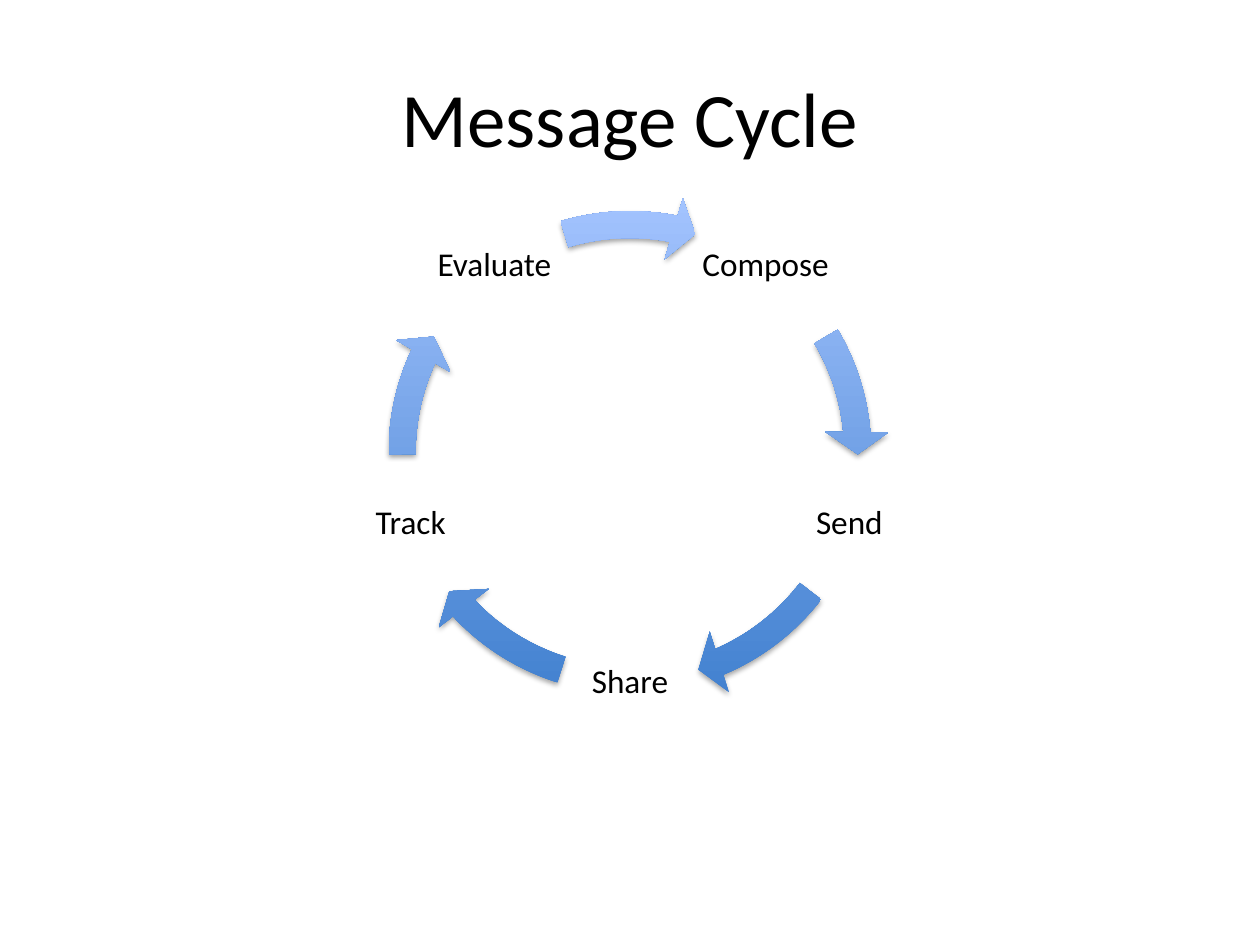
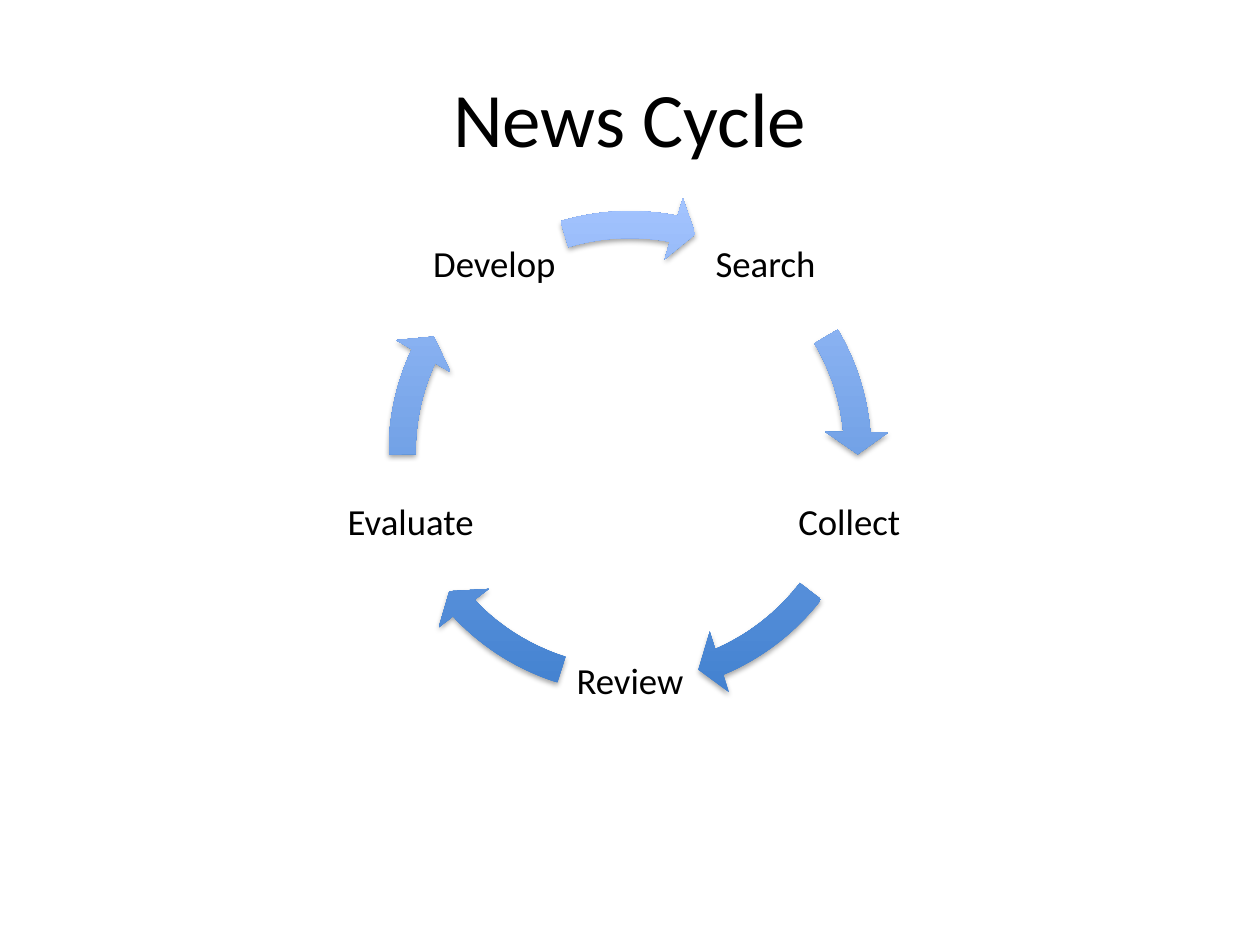
"""Build two slides that each show a five-step cycle of labels and curved arrows."""
import math

from lxml import etree
from pptx import Presentation
from pptx.dml.color import RGBColor
from pptx.enum.shapes import MSO_SHAPE
from pptx.enum.text import MSO_ANCHOR, PP_ALIGN
from pptx.oxml import parse_xml
from pptx.oxml.ns import nsdecls, qn
from pptx.util import Cm, Pt

ARROW = MSO_SHAPE.CIRCULAR_ARROW
CENTER = PP_ALIGN.CENTER
MIDDLE = MSO_ANCHOR.MIDDLE

COLORS = {"text": "000000", "dark": "3F7FCE", "light": "A4C4FF", "shadow": "000000"}
FONT = "Calibri"
TITLE_ONLY = 5

CENTER_X, CENTER_Y = 12.7, 9.12
LABEL_RADIUS = 4.65
LABEL_SIZE = 2.79
RING_SIZE = 10.46
FIRST_ANGLE = -54
ARROW_ANGLES = [
    (329.44, 354.88),
    (37.56, 66.9),
    (107.5, 136.84),
    (179.52, 204.96),
    (253.31, 281.09),
]
DEGREE_UNIT = 0.6
BAND_WIDTH = 0.052
HEAD_WIDTH = 0.061
HEAD_ANGLE = 5.6

CYCLES = [
    ("Message Cycle", 19, ["Compose", "Send", "Share", "Track", "Evaluate"]),
    ("News Cycle", 21, ["Search", "Collect", "Review", "Evaluate", "Develop"]),
]


class CycleDeck:
    """Hold the shared style and the current slide."""

    def __init__(self):
        self.deck = Presentation()
        self.deck.slide_width = Cm(25.4)
        self.deck.slide_height = Cm(19.05)
        self.page = None

    def add_page(self, title):
        """Start a slide with its centred title."""
        self.page = self.deck.slides.add_slide(self.deck.slide_layouts[TITLE_ONLY])
        box = self.page.shapes.title
        box.left, box.top = Cm(1.27), Cm(0.76)
        box.width, box.height = Cm(22.86), Cm(3.18)
        self.set_text(box, title, 44)

    def set_text(self, box, text, size):
        """Put one centred paragraph in a box and return it."""
        frame = box.text_frame
        frame.text = text
        frame.word_wrap = True
        frame.vertical_anchor = MIDDLE
        para = frame.paragraphs[0]
        para.alignment = CENTER
        for span in para.runs:
            span.font.name = FONT
            span.font.size = Pt(size)
            span.font.color.rgb = RGBColor.from_string(COLORS["text"])
        return para

    def add_label(self, group, text, size, angle):
        """Place a label on the circle at an angle in degrees."""
        turn = math.radians(angle)
        left = CENTER_X + LABEL_RADIUS * math.cos(turn) - LABEL_SIZE / 2
        top = CENTER_Y + LABEL_RADIUS * math.sin(turn) - LABEL_SIZE / 2
        box = group.shapes.add_textbox(Cm(left), Cm(top), Cm(LABEL_SIZE), Cm(LABEL_SIZE))
        frame = box.text_frame
        frame.margin_left = frame.margin_right = Cm(0.08)
        frame.margin_top = frame.margin_bottom = Cm(0.08)
        para = self.set_text(box, text, size)
        para.line_spacing = 0.9
        para.space_after = Pt(0)
        spacing = para._p.pPr.find(qn("a:spcAft"))
        spacing.remove(spacing[0])
        etree.SubElement(spacing, qn("a:spcPct"), val="35000")

    def add_arrow(self, group, tail, head):
        """Draw a curved arrow between two angles in degrees."""
        arrow = group.shapes.add_shape(
            ARROW,
            Cm(CENTER_X - RING_SIZE / 2),
            Cm(CENTER_Y - RING_SIZE / 2),
            Cm(RING_SIZE),
            Cm(RING_SIZE),
        )
        angles = [degrees * DEGREE_UNIT for degrees in (HEAD_ANGLE, head, tail)]
        for index, value in enumerate([BAND_WIDTH, *angles, HEAD_WIDTH]):
            arrow.adjustments[index] = value
        arrow.fill.gradient()
        arrow.fill.gradient_angle = 90
        for stop, name in zip(arrow.fill.gradient_stops, ("dark", "light")):
            stop.color.rgb = RGBColor.from_string(COLORS[name])
        arrow.line.fill.background()
        self.add_shadow(arrow)

    def add_shadow(self, shape):
        """Give a shape a soft shadow below it."""
        shape.shadow.inherit = False
        shadow = parse_xml(
            f'<a:outerShdw {nsdecls("a")} blurRad="{Pt(3.1)}" dist="{Pt(1.8)}" '
            f'dir="5400000" rotWithShape="0"><a:srgbClr val="{COLORS["shadow"]}">'
            '<a:alpha val="35000"/></a:srgbClr></a:outerShdw>'
        )
        shape._element.spPr.find(qn("a:effectLst")).append(shadow)

    def add_cycle(self, labels, size):
        """Alternate labels and arrows around the circle."""
        group = self.page.shapes.add_group_shape()
        step = 360 / len(labels)
        for index, (text, (tail, head)) in enumerate(zip(labels, ARROW_ANGLES)):
            self.add_label(group, text, size, FIRST_ANGLE + index * step)
            self.add_arrow(group, tail, head)


def main():
    """Build and save the deck."""
    builder = CycleDeck()
    for title, size, labels in CYCLES:
        builder.add_page(title)
        builder.add_cycle(labels, size)
    builder.deck.save("out.pptx")


main()
